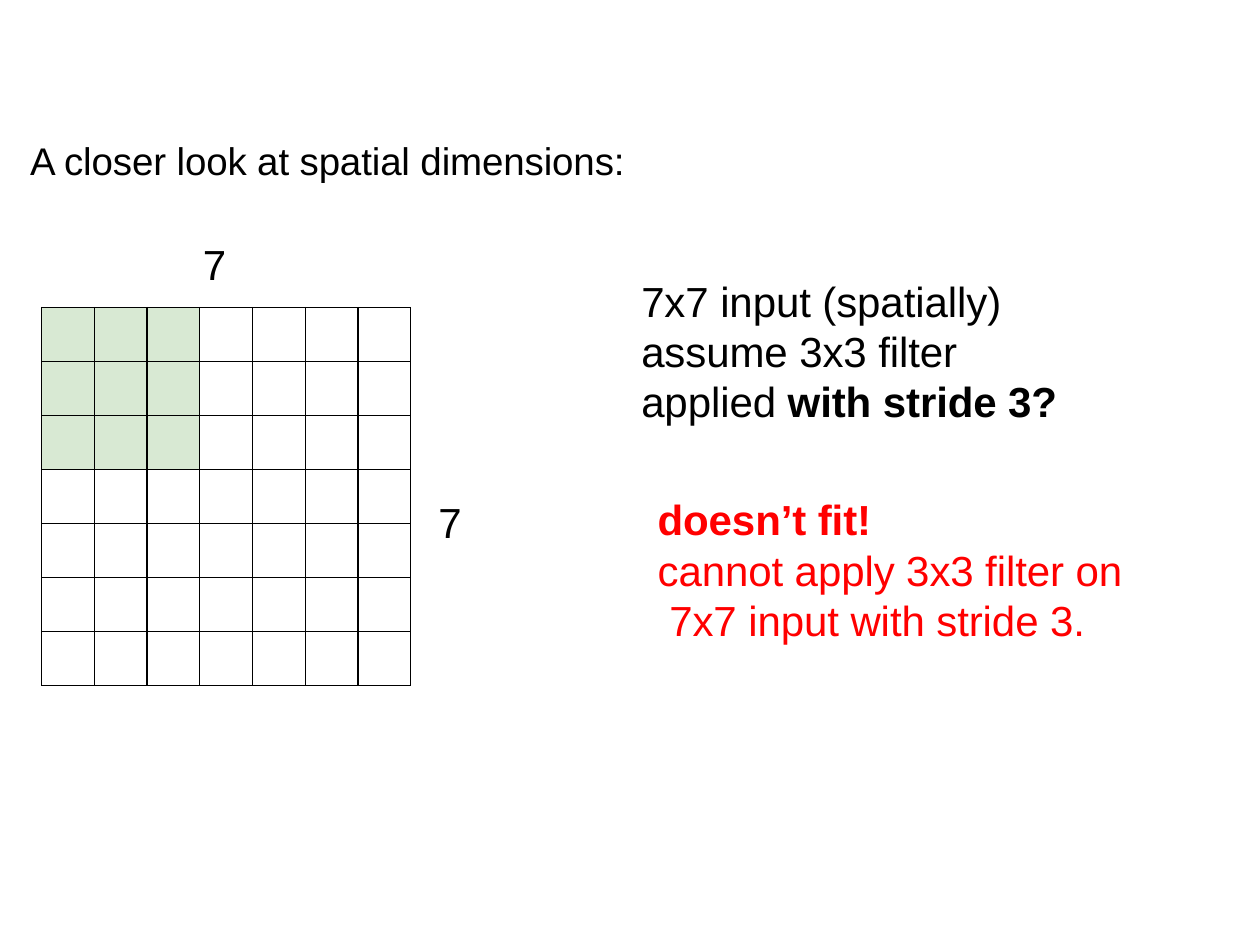
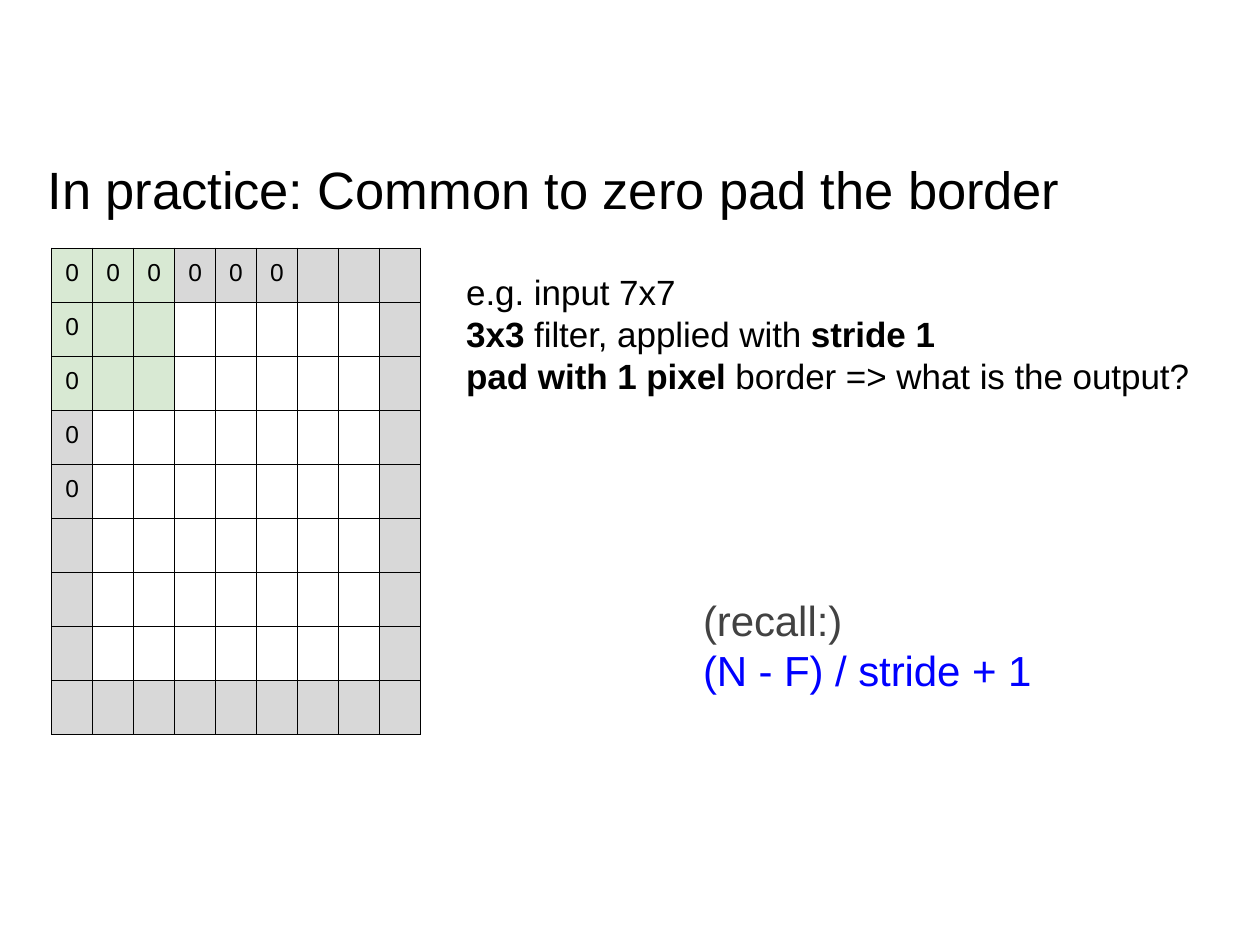
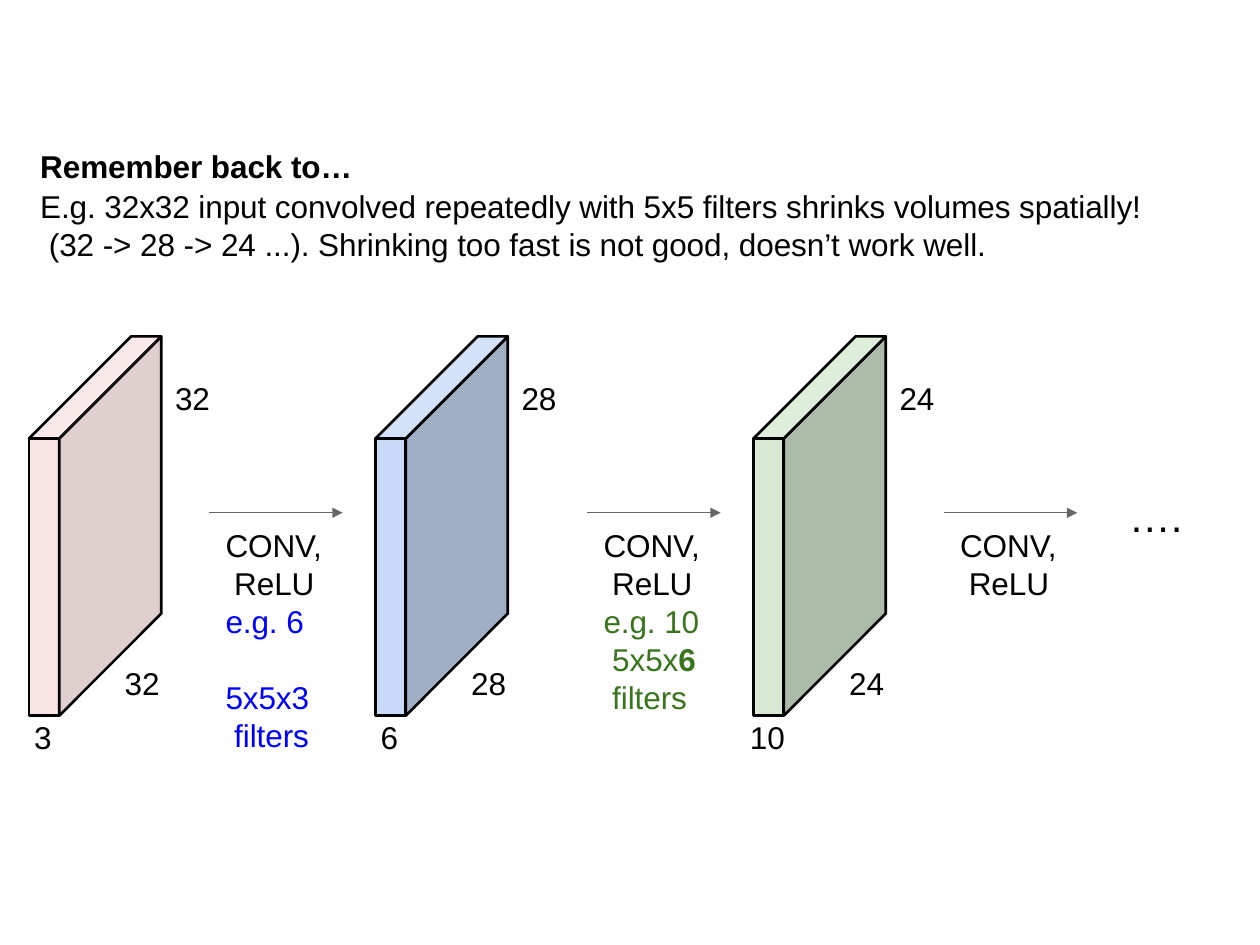
import pptx
import pptx.util
import pptx.dml.color
import pptx.enum.shapes
import pptx.enum.text
import pptx.oxml
import pptx.oxml.ns
from lxml import etree

COLUMNS, ROWS = 100, 75
CELL = pptx.util.Inches(0.1)
FONT = "Arial"
BLACK, GREY, RED, BLUE, GREEN = "000000", "666666", "FF0000", "0000FF", "38751C"
FILTER_FILL, PAD_FILL = "D8E9D3", "D8D8D8"
MATRIX_WIDTH, MATRIX_ROW = 29.3, 4.29
FRONT, DEPTH, HEIGHT, SLAB_TOP = 2.4, 8.1, 22, 26.7
LEFT = pptx.enum.text.PP_ALIGN.LEFT
CENTER = pptx.enum.text.PP_ALIGN.CENTER


def grid(n):
    return pptx.util.Emu(round(n * CELL))


def color(value):
    return pptx.dml.color.RGBColor.from_string(value)


def sub(parent, tag, **attrs):
    return etree.SubElement(parent, pptx.oxml.ns.qn(tag), attrs)


def line(words, ink=BLACK, indent=0, before=0):
    return words, ink, indent, before


def write(p, words, size, ink=BLACK, align=LEFT):
    p.alignment = align
    for i, part in enumerate(words.split("**")):
        if part:
            r = p.add_run()
            r.text = part
            r.font.bold = i % 2 == 1
            r._r.get_or_add_rPr().set("spc", "-5")
    p.font.name = FONT
    p.font.size = pptx.util.Pt(size)
    p.font.color.rgb = color(ink)


def text(s, x, y, w, h, lines, size, spacing=None, align=LEFT):
    tf = s.shapes.add_textbox(grid(x), grid(y), grid(w), grid(h)).text_frame
    tf.word_wrap = True
    tf.margin_left = pptx.util.Inches(0.01)
    tf.margin_right = tf.margin_bottom = 0
    tf.margin_top = pptx.util.Inches(0.02)
    for i, (words, ink, indent, before) in enumerate(lines):
        p = tf.paragraphs[0] if i == 0 else tf.add_paragraph()
        if indent:
            p._p.get_or_add_pPr().set("marL", str(pptx.util.Pt(indent)))
        if before:
            p.space_before = pptx.util.Pt(before)
        if spacing:
            p.line_spacing = spacing
        write(p, words, size, ink, align)


def border(cell):
    tcPr = cell._tc.get_or_add_tcPr()
    for side in ("a:lnL", "a:lnR", "a:lnT", "a:lnB"):
        ln = sub(tcPr, side, w=str(pptx.util.Pt(0.75)))
        sub(sub(ln, "a:solidFill"), "a:srgbClr", val=BLACK)


def matrix(s, x, y, n, fill_at, zero_at):
    frame = s.shapes.add_table(n, n, grid(x), grid(y), grid(MATRIX_WIDTH), grid(n * MATRIX_ROW))
    table = frame.table
    table.first_row = table.horz_banding = False
    for i in range(n):
        table.columns[i].width = grid(MATRIX_WIDTH / n)
        table.rows[i].height = grid(MATRIX_ROW)
    for row in range(n):
        for col in range(n):
            cell = table.cell(row, col)
            cell.margin_left = cell.margin_right = cell.margin_bottom = 0
            cell.margin_top = pptx.util.Inches(0.09)
            border(cell)
            fill = fill_at(row, col)
            if fill:
                cell.fill.solid()
                cell.fill.fore_color.rgb = color(fill)
            else:
                cell.fill.background()
            p = cell.text_frame.paragraphs[0]
            write(p, "0" if zero_at(row, col) else "", 14, align=CENTER)


def face(s, points, fill, alpha):
    points = [(grid(x), grid(y)) for x, y in points]
    builder = s.shapes.build_freeform(*points[0], scale=1.0)
    builder.add_line_segments(points[1:], close=True)
    sp = builder.convert_to_shape()
    sp.shadow.inherit = False
    sp.fill.solid()
    sp.fill.fore_color.rgb = color(fill)
    if alpha < 100:
        clr = sp._element.spPr.find(".//" + pptx.oxml.ns.qn("a:srgbClr"))
        sub(clr, "a:alpha", val=str(alpha * 1000))
    sp.line.color.rgb = color(BLACK)
    sp.line.width = pptx.util.Pt(1.5)


def slab(s, x, fills, alpha, edge, channels):
    top, corner, bottom = SLAB_TOP, SLAB_TOP + DEPTH, SLAB_TOP + DEPTH + HEIGHT
    inner, back, right = x + FRONT, x + DEPTH, x + FRONT + DEPTH
    front, side, lid = fills
    face(s, [(x, corner), (inner, corner), (inner, bottom), (x, bottom)], front, alpha)
    face(s, [(inner, bottom), (inner, corner), (right, top), (right, top + HEIGHT)], side, alpha)
    face(s, [(inner, corner), (x, corner), (back, top), (right, top)], lid, alpha)
    text(s, x + 7.5, 52.5, 3.3, 3.3, [line(edge)], 18)
    text(s, x + 11.5, 29.9, 3.3, 3.3, [line(edge)], 18)
    text(s, x - 0.6, bottom, 3.3, 3.3, [line(channels)], 18, align=CENTER)


def conv_step(s, x, notes):
    y = grid(40.7)
    arrow = s.shapes.add_connector(
        pptx.enum.shapes.MSO_CONNECTOR.STRAIGHT, grid(x), y, grid(x + 10.6), y)
    arrow.line.color.rgb = color(GREY)
    arrow.line.width = pptx.util.Pt(0.75)
    sub(arrow.line._get_or_add_ln(), "a:tailEnd", type="triangle")
    sub(arrow._element.spPr, "a:effectLst")
    lines = [line("CONV,"), line("ReLU", indent=5)] + notes
    text(s, x + 1.2, 41.5, 8.5, 3 * len(lines), lines, 18, 1.01)


def stride_slide(s):
    text(s, 2.3, 10.7, 48, 3.9, [line("A closer look at spatial dimensions:")], 22)
    text(s, 16, 18.7, 2.1, 4.3, [line("7")], 24)
    text(s, 34.7, 39.2, 2.1, 4.3, [line("7")], 24)
    matrix(s, 3.3, 24.4, 7,
           lambda row, col: FILTER_FILL if max(row, col) < 3 else None,
           lambda row, col: False)
    pitch = pptx.util.Pt(28.5)
    text(s, 50.8, 21.7, 34, 12.2, [
        line("7x7 input (spatially)"),
        line("assume 3x3 filter"),
        line("applied **with stride 3?**")], 24, pitch)
    text(s, 52.1, 39, 37.6, 12.2, [
        line("**doesn’t fit!**", RED),
        line("cannot apply 3x3 filter on", RED, before=1),
        line("7x7 input with stride 3.", RED, indent=6.7)], 24, pitch)


def padding_slide(s):
    n = 9

    def fill_at(row, col):
        if max(row, col) < 3:
            return FILTER_FILL
        return PAD_FILL if {row, col} & {0, n - 1} else None

    def zero_at(row, col):
        return (row == 0 and col < 6) or (col == 0 and row < 5)

    text(s, 3.7, 12.3, 82, 5.3, [line("In practice: Common to zero pad the border")], 30)
    matrix(s, 4.1, 19.7, n, fill_at, zero_at)
    text(s, 36.9, 21.3, 58.5, 10.3, [
        line("e.g. input 7x7"),
        line("**3x3** filter, applied with **stride 1**"),
        line("**pad with 1 pixel** border => what is the output?")], 20)
    text(s, 55.7, 47, 28, 8.2, [
        line("(recall:)", "424242"),
        line("(N - F) / stride + 1", BLUE)], 24, pptx.util.Pt(28.6))


def shrinking_slide(s):
    text(s, 3.1, 11.5, 26, 3.3, [line("**Remember back to…**")], 18)
    text(s, 3.1, 14.6, 89, 6, [
        line("E.g. 32x32 input convolved repeatedly with 5x5 filters shrinks volumes spatially!"),
        line("(32 -> 28 -> 24 ...). Shrinking too fast is not good, doesn’t work well.", indent=5),
    ], 18, 1.01)
    slab(s, 2.3, ("F4CCCC", "C3A3A3", "F6D6D6"), 52, "32", "3")
    slab(s, 29.8, ("C8DAF7", "A0AEC6", "D3E1F9"), 100, "28", "6")
    slab(s, 59.8, (FILTER_FILL, "ACBAA8", "DFEDDB"), 100, "24", "10")
    conv_step(s, 16.6, [
        line("e.g. 6", BLUE),
        line("5x5x3", BLUE, before=21.6),
        line("filters", BLUE, indent=5)])
    conv_step(s, 46.6, [
        line("e.g. 10", GREEN),
        line("5x5x**6**", GREEN, indent=5),
        line("filters", GREEN, indent=5)])
    conv_step(s, 74.9, [])
    text(s, 89.5, 38.7, 4.8, 4.3, [line("….")], 24)


def main():
    prs = pptx.Presentation()
    prs.slide_width, prs.slide_height = grid(COLUMNS), grid(ROWS)
    for build in (stride_slide, padding_slide, shrinking_slide):
        build(prs.slides.add_slide(prs.slide_layouts[6]))
    prs.save("out.pptx")


if __name__ == "__main__":
    main()
